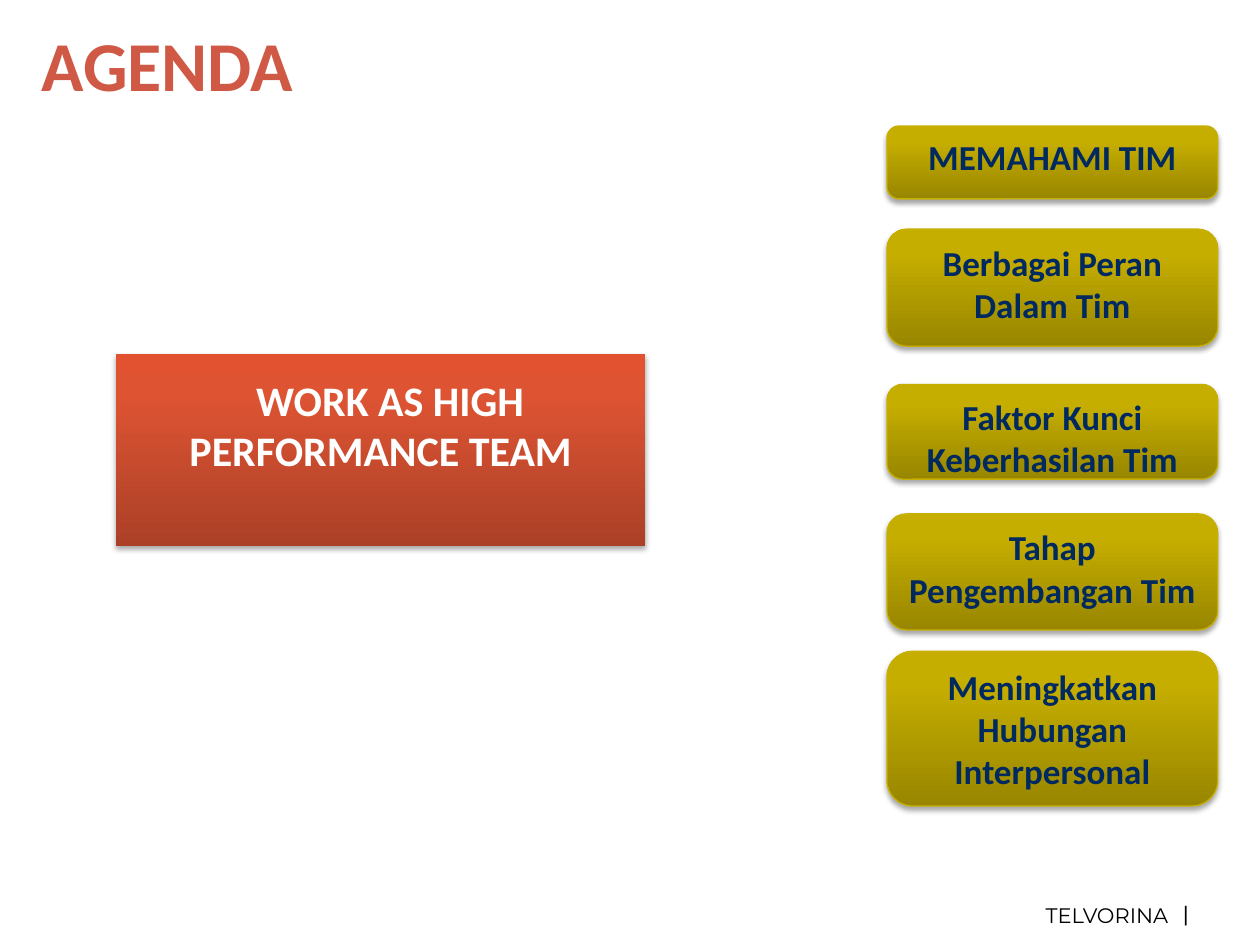
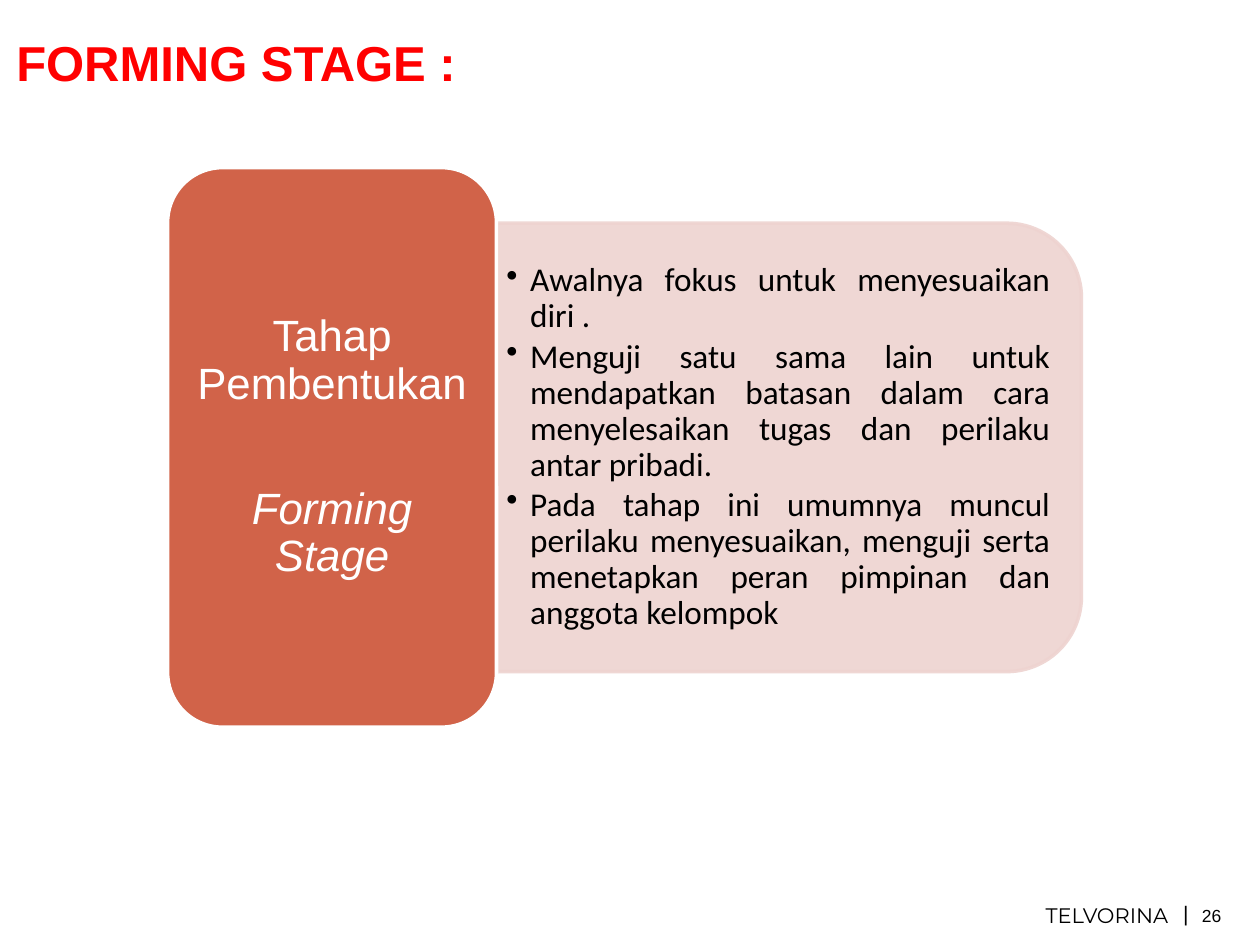
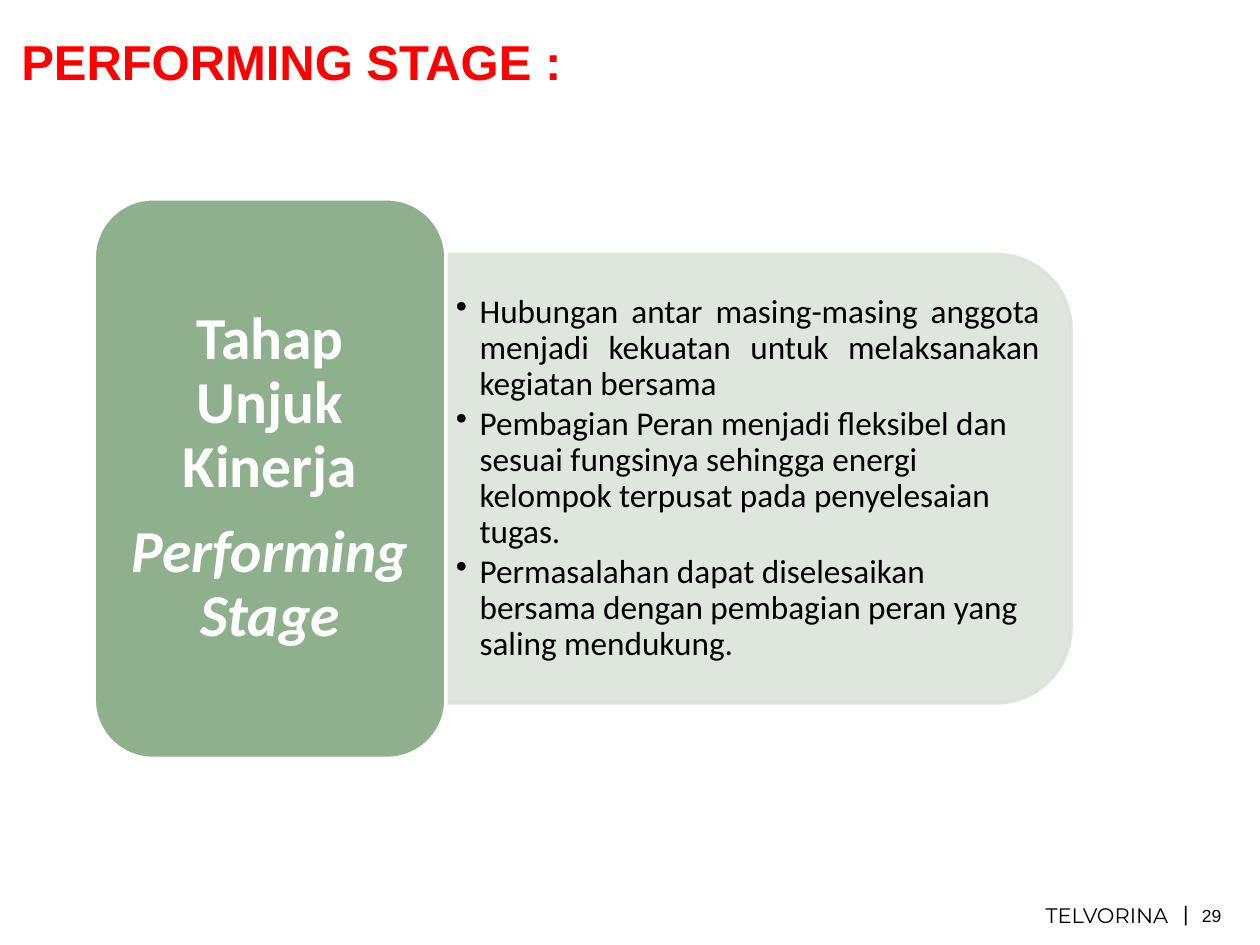
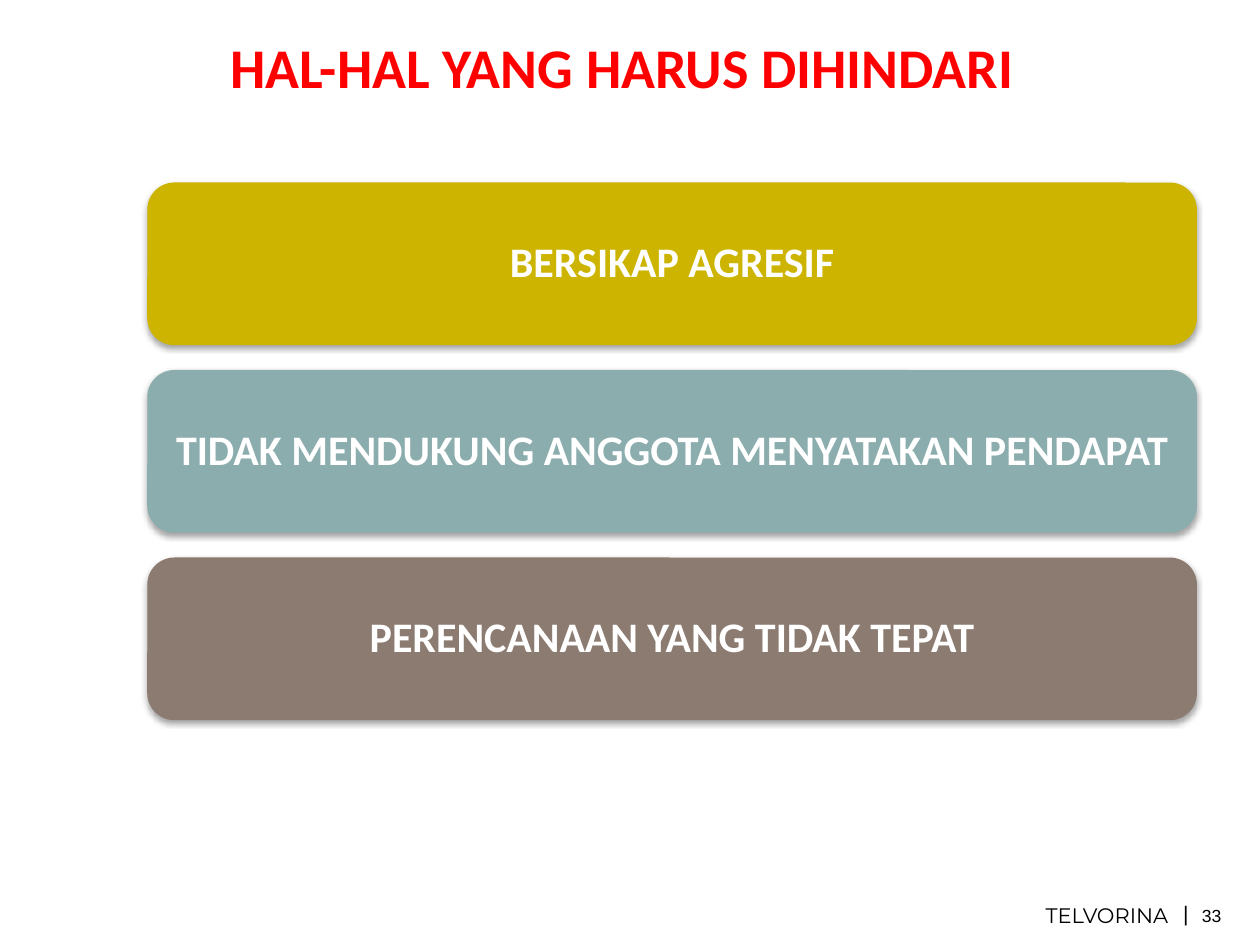
from copy import deepcopy

from lxml import etree
from pptx import Presentation
from pptx.dml.color import RGBColor
from pptx.enum.shapes import MSO_SHAPE
from pptx.enum.text import MSO_ANCHOR, PP_ALIGN
from pptx.oxml.ns import qn
from pptx.util import Cm, Pt

RECT, ROUNDED = MSO_SHAPE.RECTANGLE, MSO_SHAPE.ROUNDED_RECTANGLE
HALF_ROUNDED = MSO_SHAPE.ROUND_2_SAME_RECTANGLE
TOP, MIDDLE = MSO_ANCHOR.TOP, MSO_ANCHOR.MIDDLE
LEFT, CENTER, JUSTIFY = PP_ALIGN.LEFT, PP_ALIGN.CENTER, PP_ALIGN.JUSTIFY

BLACK = RGBColor(0x00, 0x00, 0x00)
WHITE = RGBColor(0xFF, 0xFF, 0xFF)
RED = RGBColor(0xFF, 0x00, 0x00)
BRICK = RGBColor(0xD0, 0x59, 0x45)
NAVY = RGBColor(0x00, 0x29, 0x60)
GOLD_LINE = RGBColor(0xC8, 0xB0, 0x00)
TERRACOTTA = RGBColor(0xD1, 0x63, 0x49)
PINK = RGBColor(0xEE, 0xD3, 0xD0)
GREEN = RGBColor(0x8F, 0xB0, 0x8C)
PALE_GREEN = RGBColor(0xDB, 0xE4, 0xDA)
MUSTARD = RGBColor(0xCC, 0xB4, 0x00)
TEAL = RGBColor(0x8C, 0xAD, 0xAE)
TAUPE = RGBColor(0x8C, 0x7B, 0x70)
# Gradient stops run from the bottom edge up
ORANGE_STOPS = [(0, RGBColor(0xAB, 0x40, 0x27)), (0.8, RGBColor(0xDE, 0x54, 0x33)),
                (1, RGBColor(0xE3, 0x52, 0x30))]
GOLD_STOPS = [(0, RGBColor(0x98, 0x86, 0x00)), (0.8, RGBColor(0xC6, 0xAE, 0x00)),
              (1, RGBColor(0xC7, 0xAF, 0x00))]

# ---- Content (lengths in cm) ----
COMPANY = "TELVORINA"
THEME = ["WORK AS HIGH", "PERFORMANCE TEAM"]
TOPICS = [  # text, top, height
    ("MEMAHAMI TIM", 2.54, 1.47),
    ("Berbagai Peran Dalam Tim", 4.62, 2.36),
    ("Faktor Kunci Keberhasilan Tim", 7.75, 1.91),
    ("Tahap Pengembangan Tim", 10.36, 2.34),
    ("Meningkatkan Hubungan Interpersonal", 13.13, 3.12),
]
FORMING = dict(
    title="FORMING STAGE :", title_at=(0.33, 0.66), page=26,
    names=["Tahap Pembentukan", "Forming Stage"],
    font="Arial", size=25, bold=False, gap=44.5, inset=(0.25, 0.13),
    tag=(3.38, 3.38, 6.63), tag_color=TERRACOTTA,
    panel_width=11.79, panel_color=PINK,
    points=[
        ("Awalnya fokus untuk menyesuaikan diri .", JUSTIFY),
        ("Menguji satu sama lain untuk mendapatkan batasan dalam cara "
         "menyelesaikan tugas dan perilaku antar pribadi.", JUSTIFY),
        ("Pada tahap ini umumnya muncul perilaku menyesuaikan, menguji serta "
         "menetapkan peran pimpinan dan anggota kelompok", JUSTIFY),
    ])
PERFORMING = dict(
    title="PERFORMING STAGE :", title_at=(0.43, 0.63), page=29,
    names=["Tahap Unjuk Kinerja", "Performing Stage"],
    font="Calibri", size=34, bold=True, gap=11.7, inset=(0.36, 0.18),
    tag=(1.9, 4.01, 7.09), tag_color=GREEN,
    panel_width=12.6, panel_color=PALE_GREEN,
    points=[
        ("Hubungan antar masing-masing anggota menjadi kekuatan untuk "
         "melaksanakan kegiatan bersama", JUSTIFY),
        ("Pembagian Peran menjadi fleksibel dan sesuai fungsinya sehingga "
         "energi kelompok terpusat pada penyelesaian tugas.", LEFT),
        ("Permasalahan dapat diselesaikan bersama dengan pembagian peran yang "
         "saling mendukung.", LEFT),
    ])
AVOID = [
    ("BERSIKAP AGRESIF", MUSTARD),
    ("TIDAK MENDUKUNG ANGGOTA MENYATAKAN PENDAPAT", TEAL),
    ("PERENCANAAN YANG TIDAK TEPAT", TAUPE),
]

TAG_H, PANEL_H, POINTS_H = 11.28, 9.04, 8.15


# ---- Shared helpers ----
def write(sp, lines, font, size, color, bold=False, align=LEFT, anchor=TOP,
          inset=(0, 0), wrap=True, spacing=None, gap=0):
    tf = sp.text_frame
    tf.word_wrap, tf.vertical_anchor = wrap, anchor
    tf.margin_left = tf.margin_right = Cm(inset[0])
    tf.margin_top = tf.margin_bottom = Cm(inset[1])
    tf.text = "\n".join(lines)
    for p in tf.paragraphs:
        p.alignment = align
        if spacing:
            p.line_spacing = spacing
        for r in p.runs:
            r.font.name, r.font.size, r.font.bold = font, Pt(size), bold
            r.font.color.rgb = color
    for p in tf.paragraphs[:-1]:
        p.space_after = Pt(gap)
    return tf


def add_text(s, x, y, w, h, lines, *style, **options):
    sp = s.shapes.add_textbox(Cm(x), Cm(y), Cm(w), Cm(h))
    return write(sp, lines, *style, **options)


def add_block(s, kind, x, y, w, h, fill, line=None, line_width=2, shadow=False):
    """Add a shape; fill is one colour or a list of gradient stops."""
    sp = s.shapes.add_shape(kind, Cm(x), Cm(y), Cm(w), Cm(h))
    sp.shadow.inherit = False
    if isinstance(fill, list):
        sp.fill.gradient()
        sp.fill.gradient_angle = 90
        stops = sp._element.spPr.find(".//" + qn("a:gsLst"))
        stops.append(deepcopy(stops[0]))
        for stop, (position, color) in zip(sp.fill.gradient_stops, fill):
            stop.position, stop.color.rgb = position, color
    else:
        sp.fill.solid()
        sp.fill.fore_color.rgb = fill
    if line is None:
        sp.line.fill.background()
    else:
        sp.line.color.rgb, sp.line.width = line, Pt(line_width)
    if shadow:
        effects = sp._element.spPr.find(qn("a:effectLst"))
        outer = etree.SubElement(effects, qn("a:outerShdw"), blurRad=str(Pt(3.1)),
                                 dist=str(Pt(1.8)), dir="5400000", rotWithShape="0")
        color = etree.SubElement(outer, qn("a:srgbClr"), val="000000")
        etree.SubElement(color, qn("a:alpha"), val="35000")
    return sp


def add_slide(title, x, y, font="Arial", size=28, color=RED, align=LEFT, page=None):
    """Add a blank slide with title and footer."""
    s = prs.slides.add_slide(prs.slide_layouts[6])
    add_text(s, x, y, 24.43, 1.2, [title], font, size, color, True, align)
    add_text(s, 20.6, 18.06, 3.43, 0.79, [COMPANY], "Montserrat", 12, BLACK,
             align=CENTER, inset=(0.25, 0.13))
    add_text(s, 23.85, 18.14, 0.1, 0.53, ["|"], "Arial", 12, BLACK,
             anchor=MIDDLE, wrap=False)
    if page:
        add_text(s, 24.23, 18.24, 0.56, 0.43, [str(page)], "Arial", 10, BLACK,
                 wrap=False)
    return s


def add_stage(stage):
    """Add a slide with a stage name beside a panel of points."""
    s = add_slide(stage["title"], *stage["title_at"], page=stage["page"])
    x, y, w = stage["tag"]
    panel_x, panel_w = x + w, stage["panel_width"]
    middle = y + TAG_H / 2

    # Panel, turned so that its rounded side faces right
    sp = add_block(s, HALF_ROUNDED, panel_x + (panel_w - PANEL_H) / 2,
                   middle - panel_w / 2, PANEL_H, panel_w,
                   stage["panel_color"], stage["panel_color"])
    sp.rotation = 90
    for color in sp._element.spPr.iter(qn("a:srgbClr")):
        etree.SubElement(color, qn("a:alpha"), val="90000")

    # Points
    tf = add_text(s, panel_x, middle - POINTS_H / 2, panel_w - 0.43, POINTS_H,
                  [text for text, _ in stage["points"]], "Calibri", 19, BLACK,
                  anchor=MIDDLE, inset=(0.2, 0.1), spacing=0.9, gap=2.6)
    for p, (_, align) in zip(tf.paragraphs, stage["points"]):
        p.alignment = align
        pPr = p._p.get_or_add_pPr()
        pPr.set("marL", str(Cm(0.48)))
        pPr.set("indent", str(Cm(-0.48)))
        etree.SubElement(pPr, qn("a:buChar"), char="•")

    # Stage name
    sp = add_block(s, ROUNDED, x, y, w, TAG_H, stage["tag_color"], WHITE)
    tf = write(sp, stage["names"], stage["font"], stage["size"], WHITE,
               stage["bold"], CENTER, MIDDLE, stage["inset"], spacing=0.9,
               gap=stage["gap"])
    tf.paragraphs[-1].runs[0].font.italic = True


prs = Presentation()
prs.slide_width, prs.slide_height = Cm(25.4), Cm(19.05)

# ---- Agenda ----
s = add_slide("AGENDA", 0.84, 0.43, "Calibri", 40, BRICK)
sp = add_block(s, RECT, 2.34, 7.14, 10.67, 3.86, ORANGE_STOPS, shadow=True)
tf = write(sp, THEME, "Calibri", 24, WHITE, True, CENTER, inset=(0.25, 0.41))
tf.paragraphs[0]._p.get_or_add_pPr().set("marL", str(Cm(0.38)))
for topic, y, h in TOPICS:
    sp = add_block(s, ROUNDED, 17.88, y, 6.67, h, GOLD_STOPS, GOLD_LINE, 0.75, True)
    write(sp, [topic], "Calibri", 20, NAVY, True, CENTER, inset=(0.25, 0.13))

# ---- Stages ----
for stage in (FORMING, PERFORMING):
    add_stage(stage)

# ---- Things to avoid ----
s = add_slide("HAL-HAL YANG HARUS DIHINDARI", 0.33, 0.66, "Calibri", 32,
              align=CENTER, page=33)
for i, (text, color) in enumerate(AVOID):
    sp = add_block(s, ROUNDED, 2.97, 3.68 + i * 3.78, 21.16, 3.28, color, shadow=True)
    write(sp, [text], "Calibri", 24, WHITE, True, CENTER, MIDDLE, (0.25, 0.25),
          spacing=0.9)

prs.save("out.pptx")
